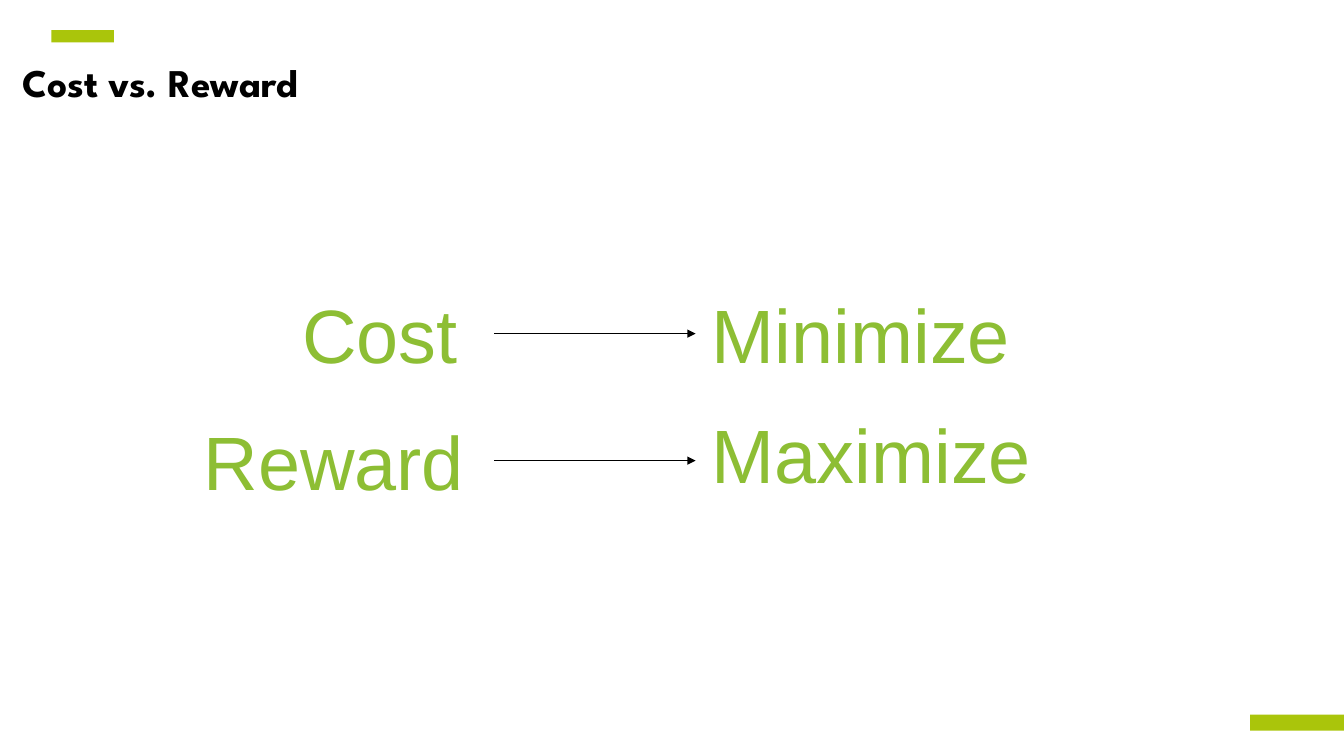
from lxml import etree
from pptx import Presentation
from pptx.dml.color import RGBColor
from pptx.enum.shapes import MSO_CONNECTOR, MSO_SHAPE
from pptx.enum.text import MSO_ANCHOR, PP_ALIGN
from pptx.oxml.ns import qn
from pptx.util import Pt

PX = 9144  # EMU in one px, 100 px to the inch
RECTANGLE = MSO_SHAPE.RECTANGLE
STRAIGHT = MSO_CONNECTOR.STRAIGHT
TOP = MSO_ANCHOR.TOP
LEFT = PP_ALIGN.LEFT
TITLE_ONLY = 5

COLORS = {"bar": "AAC50B", "title": "000000", "word": "8DBE34", "arrow": "000000"}
TITLE_FORMAT = {"name": "League Spartan", "size": Pt(28), "bold": True}
WORD_FORMAT = {"name": "Arial", "size": Pt(54), "bold": False}


def px(*lengths):
    return [length * PX for length in lengths]


def color(name):
    return RGBColor.from_string(COLORS[name])


def write_text(shape, text, font_format, color_name):
    frame = shape.text_frame
    frame.word_wrap = True
    frame.vertical_anchor = TOP
    paragraph = frame.paragraphs[0]
    paragraph.alignment = LEFT
    run = paragraph.add_run()
    run.text = text
    for attribute, value in font_format.items():
        setattr(run.font, attribute, value)
    run.font.color.rgb = color(color_name)


def add_bar(slide, box):
    bar = slide.shapes.add_shape(RECTANGLE, *px(*box))
    bar.shadow.inherit = False
    bar.fill.solid()
    bar.fill.fore_color.rgb = color("bar")
    bar.line.fill.background()


def add_title(slide, box, text):
    title = slide.shapes.title
    title.left, title.top, title.width, title.height = px(*box)
    write_text(title, text, TITLE_FORMAT, "title")


def add_word(slide, box, text):
    write_text(slide.shapes.add_textbox(*px(*box)), text, WORD_FORMAT, "word")


def add_arrow(slide, left, middle, width):
    arrow = slide.shapes.add_connector(
        STRAIGHT, *px(left, middle, left + width, middle))
    arrow.line.color.rgb = color("arrow")
    arrow.line.width = Pt(0.75)
    etree.SubElement(arrow.line._get_or_add_ln(), qn("a:tailEnd"), type="triangle")
    etree.SubElement(arrow._element.spPr, qn("a:effectLst"))


def add_goal(slide, subject_box, subject, arrow_middle, goal_box, goal):
    """Place a subject, an arrow and what to do with the subject."""
    add_word(slide, subject_box, subject)
    add_arrow(slide, 490, arrow_middle, 200)
    add_word(slide, goal_box, goal)


def main():
    presentation = Presentation()
    presentation.slide_width, presentation.slide_height = px(1333, 750)
    slide = presentation.slides.add_slide(presentation.slide_layouts[TITLE_ONLY])
    add_bar(slide, (51, 30, 62, 12))
    add_bar(slide, (1240, 709, 93, 16))
    add_title(slide, (12, 53, 798, 92), "Cost vs. Reward")
    add_goal(slide, (290, 281, 220, 100), "Cost", 331, (696, 281, 318, 100), "Minimize")
    add_goal(slide, (192, 407, 290, 177), "Reward", 457, (696, 400, 374, 177), "Maximize")
    presentation.save("out.pptx")


if __name__ == "__main__":
    main()
